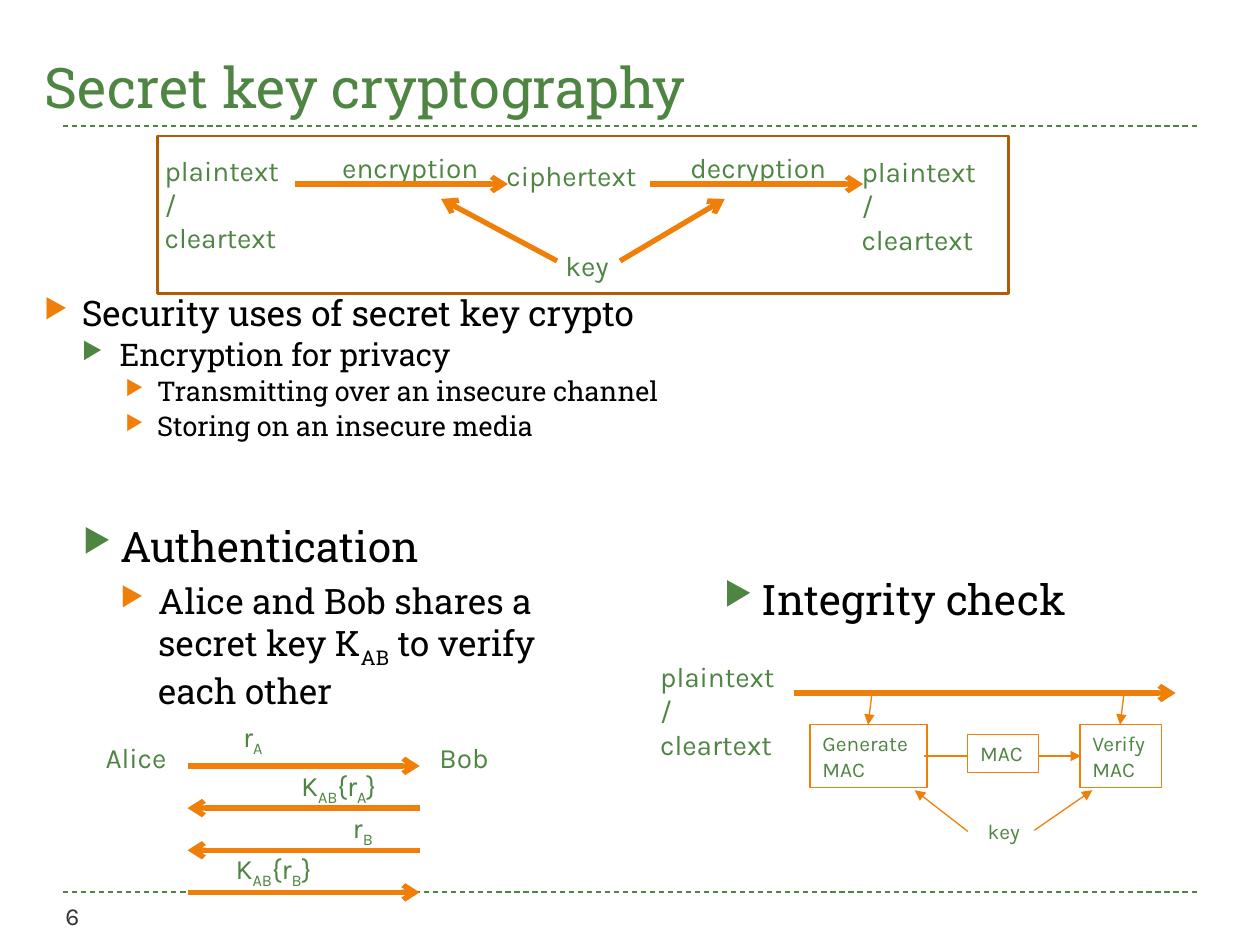
from lxml.etree import SubElement
from pptx import Presentation
from pptx.dml.color import RGBColor
from pptx.enum.dml import MSO_LINE
from pptx.enum.shapes import MSO_CONNECTOR, MSO_SHAPE
from pptx.enum.text import MSO_ANCHOR, PP_ALIGN
from pptx.oxml.ns import qn
from pptx.util import Cm, Pt

COLORS = {
    "green": "4E8542",
    "orange": "F07F09",
    "brown": "B05C05",
    "black": "000000",
    "gray": "323232",
    "white": "FFFFFF",
}
HEADING_FONT = "Roboto Slab"
LABEL_FONT = "Karla"


def write(shape, text, size=16, font=LABEL_FONT, color="green", wrap=False,
          anchor=MSO_ANCHOR.TOP, bullets=(), spacing=None):
    """Fill a shape with text: [x] is a subscript, \\n a paragraph, \\v a line break.

    bullets holds (size, bullet color, hanging indent in cm) for each paragraph.
    """
    frame = shape.text_frame
    frame.word_wrap = wrap
    frame.vertical_anchor = anchor
    for index, content in enumerate(text.split("\n")):
        paragraph = frame.add_paragraph() if index else frame.paragraphs[0]
        paragraph.alignment = PP_ALIGN.LEFT
        run_size = size
        if bullets:
            run_size, bullet_color, hanging = bullets[index]
            level = round((run_size < bullets[0][0]) + (hanging < 0.7))
            paragraph.level = level
            paragraph.space_before = Pt(5 if level else 6)
            paragraph.line_spacing = spacing
            properties = paragraph._p.get_or_add_pPr()
            properties.set("marL", str(Cm(0.76 * (level + 1))))
            properties.set("indent", str(-Cm(hanging)))
            bullet_fill = SubElement(properties, qn("a:buClr"))
            SubElement(bullet_fill, qn("a:srgbClr"), val=COLORS[bullet_color])
            SubElement(properties, qn("a:buSzPct"), val="76000")
            SubElement(properties, qn("a:buChar"), char="▶")
        for part, piece in enumerate(content.replace("]", "[").split("[")):
            for row, words in enumerate(piece.split("\v")):
                if row:
                    paragraph.add_line_break()
                if not words:
                    continue
                run = paragraph.add_run()
                run.text = words
                run.font.size = Pt(run_size)
                run.font.name = font
                run.font.color.rgb = RGBColor.from_string(COLORS[color])
                if part % 2:
                    run.font._element.set("baseline", "-25000")


def draw_line(x1, y1, x2, y2, color="orange", width=3, head="arrow"):
    line = slide.shapes.add_connector(
        MSO_CONNECTOR.STRAIGHT, Cm(x1), Cm(y1), Cm(x2), Cm(y2))
    line.line.color.rgb = RGBColor.from_string(COLORS[color])
    line.line.width = Pt(width)
    if head:
        SubElement(line.line._get_or_add_ln(), qn("a:tailEnd"), type=head)
    else:
        line.line.dash_style = MSO_LINE.DASH
    SubElement(line._element.spPr, qn("a:effectLst"))


presentation = Presentation()
presentation.slide_width, presentation.slide_height = Cm(25.4), Cm(19.05)
slide = presentation.slides.add_slide(presentation.slide_layouts[5])

# Rules and title
for rule_y in (17.98, 2.54):
    draw_line(1.27, rule_y, 24.13, rule_y, color="green", width=0.75, head=None)
title = slide.shapes.title
title.left, title.top, title.width, title.height = Cm(0.64), Cm(0.43), Cm(24.13), Cm(2.11)
write(title, "Secret key cryptography", size=32, font=HEADING_FONT, wrap=True,
      anchor=MSO_ANCHOR.BOTTOM)

# Bulleted text
outlines = [
    (0.64, 5.92, 24.13, 3.81, 0.8,
     "Security uses of secret key crypto\nEncryption for privacy\n"
     "Transmitting over an insecure channel\nStoring on an insecure media",
     [(20.1, "orange", 0.76), (17.8, "green", 0.76),
      (15.5, "orange", 0.64), (15.5, "orange", 0.64)]),
    (1.42, 10.36, 11.23, 4.45, None,
     "Authentication\nAlice and Bob shares a secret key K[AB] to verify each other",
     [(24, "green", 0.76), (20, "orange", 0.76)]),
    (14.35, 11.43, 8.31, 1.5, None, "Integrity check", [(24, "green", 0.76)]),
]
for left, top, width, height, spacing, text, bullets in outlines:
    outline = slide.shapes.add_textbox(Cm(left), Cm(top), Cm(width), Cm(height))
    write(outline, text, font=HEADING_FONT, color="black", wrap=True,
          bullets=bullets, spacing=spacing)

# Diagram labels
PLAINTEXT = "plaintext/\ncleartext"
labels = [
    (3.07, 2.97, 3.02, 1.63, PLAINTEXT, {"wrap": True}),
    (6.65, 2.92, 3.35, 0.94, "encryption", {}),
    (9.96, 3.07, 3.18, 0.94, "ciphertext", {}),
    (13.67, 2.92, 3.33, 0.94, "decryption", {}),
    (11.15, 4.88, 1.4, 0.94, "key", {}),
    (17.12, 3, 3.02, 1.63, PLAINTEXT, {"wrap": True}),
    (1.88, 14.81, 1.75, 0.94, "Alice", {}),
    (8.61, 14.81, 1.55, 0.94, "Bob", {}),
    (4.65, 14.38, 0.94, 1.04, "r[A]", {}),
    (5.82, 15.37, 2.13, 1.04, "K[AB]{r[A]}", {}),
    (6.86, 16.21, 0.94, 1.04, "r[B]", {}),
    (4.5, 17.04, 2.13, 1.04, "K[AB]{r[B]}", {}),
    (13.06, 13.18, 3.02, 1.63, PLAINTEXT, {"wrap": True}),
    (19.66, 16.38, 1.19, 0.76, "key", {"size": 12}),
    (1.07, 18.03, 2.41, 0.81, "6", {"size": 14, "color": "gray", "wrap": True}),
]
for left, top, width, height, text, style in labels:
    label = slide.shapes.add_textbox(Cm(left), Cm(top), Cm(width), Cm(height))
    write(label, text, **style)

# Encryption, message exchange and integrity arrows
flows = [
    (5.94, 3.71, 10.24, 3.71),
    (13.11, 3.71, 17.4, 3.71),
    (11.23, 5.26, 8.89, 4.01),
    (12.5, 5.26, 14.61, 4.01),
    (16, 13.97, 23.7, 13.97),
]
for flow in flows:
    draw_line(*flow)

ALICE_X, BOB_X = 3.78, 8.46
for step, from_alice in enumerate((True, False, False, True)):
    message_y = round(15.44 + 0.85 * step, 2)
    start, end = (ALICE_X, BOB_X) if from_alice else (BOB_X, ALICE_X)
    draw_line(start, message_y, end, message_y)

mac_flows = [
    (18.62, 15.24, 21.79, 15.24),
    (19.51, 16.76, 18.44, 15.93),
    (20.85, 16.74, 22.02, 15.93),
    (17.58, 13.97, 17.5, 14.61),
    (22.66, 13.97, 22.58, 14.61),
]
for flow in mac_flows:
    draw_line(*flow, width=0.75, head="triangle")

# Frame of the encryption diagram and boxes of the integrity check
boxes = [
    (3.18, 2.74, 17.15, 3.18, "", "brown", 1.5, None),
    (16.33, 14.61, 2.36, 1.27, "Generate\vMAC", "orange", 0.75, None),
    (21.77, 14.61, 1.65, 1.27, "Verify\vMAC", "orange", 0.75, None),
    (19.51, 14.81, 1.42, 0.76, "MAC", "orange", 0.75, "white"),
]
for left, top, width, height, text, border, weight, fill in boxes:
    box = slide.shapes.add_shape(
        MSO_SHAPE.RECTANGLE, Cm(left), Cm(top), Cm(width), Cm(height))
    box.shadow.inherit = False
    box.line.color.rgb = RGBColor.from_string(COLORS[border])
    box.line.width = Pt(weight)
    if fill:
        box.fill.solid()
        box.fill.fore_color.rgb = RGBColor.from_string(COLORS[fill])
    else:
        box.fill.background()
    if text:
        write(box, text, size=12)

presentation.save("out.pptx")
